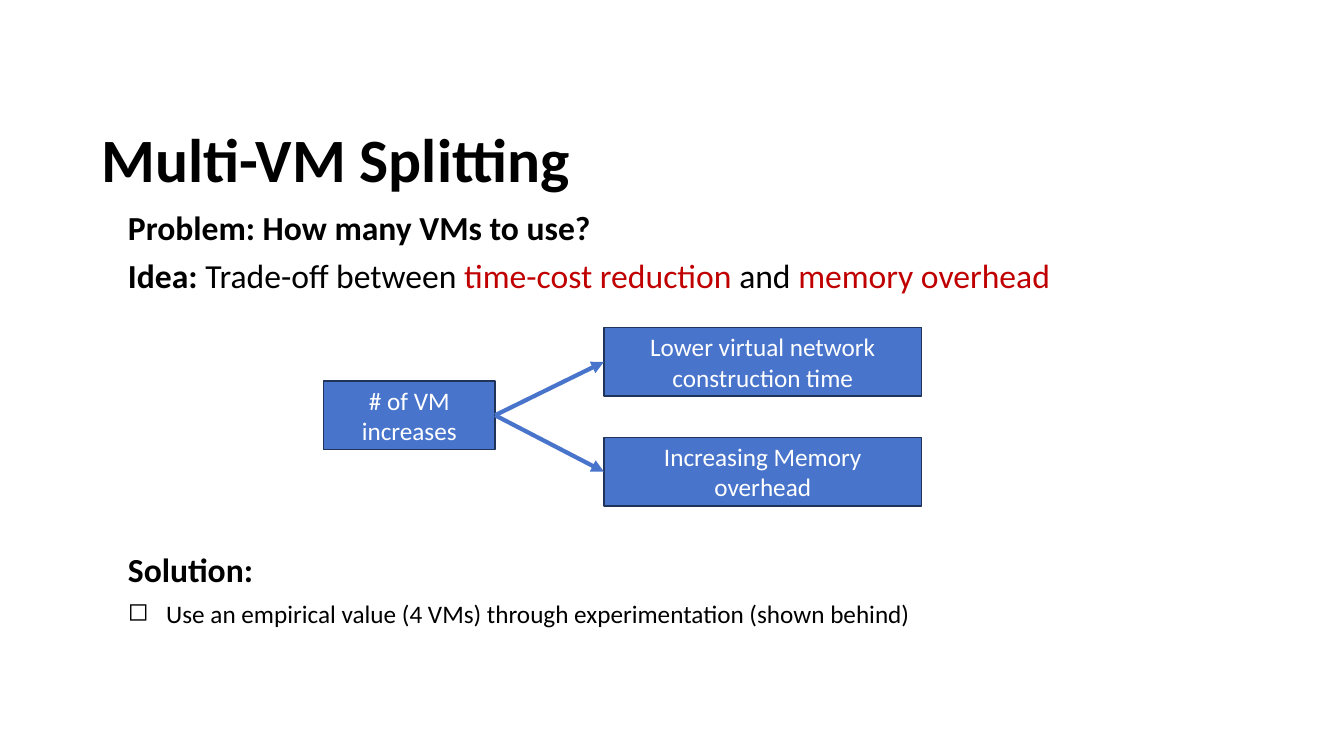
from lxml import etree
from pptx import Presentation
from pptx.dml.color import RGBColor
from pptx.enum.shapes import MSO_CONNECTOR as Connector, MSO_SHAPE as Shape
from pptx.enum.text import MSO_ANCHOR as Anchor, PP_ALIGN as Align
from pptx.oxml.ns import qn
from pptx.util import Inches, Pt

BLACK = RGBColor(0x00, 0x00, 0x00)
WHITE = RGBColor(0xFF, 0xFF, 0xFF)
RED = RGBColor(0xC0, 0x00, 0x00)
BLUE = RGBColor(0x48, 0x74, 0xCB)
NAVY = RGBColor(0x20, 0x33, 0x59)
FONT = "Calibri"
LEFT_SITE, RIGHT_SITE = 1, 3


def add_span(para, text, size=24, color=BLACK, bold=False):
    span = para.add_run()
    span.text = text
    font = span.font
    font.name, font.size, font.bold = FONT, Pt(size), bold
    font.color.rgb = color


def add_text_box(page, left, top, width, height, anchor=Anchor.TOP):
    box = page.shapes.add_textbox(Inches(left), Inches(top), Inches(width), Inches(height))
    frame = box.text_frame
    frame.word_wrap = True
    frame.vertical_anchor = anchor
    return frame


def add_bullet(para, symbol, indent):
    """Give the paragraph a hanging bullet."""
    props = para._p.get_or_add_pPr()
    props.set("marL", str(Inches(indent)))
    props.set("indent", str(-Inches(indent)))
    etree.SubElement(props, qn("a:buChar")).set("char", symbol)


def add_flow_box(page, text, left, top, width, height=0.68):
    box = page.shapes.add_shape(
        Shape.RECTANGLE, Inches(left), Inches(top), Inches(width), Inches(height))
    box.shadow.inherit = False
    box.fill.solid()
    box.fill.fore_color.rgb = BLUE
    box.line.color.rgb = NAVY
    box.line.width = Pt(1)
    frame = box.text_frame
    frame.word_wrap = True
    frame.vertical_anchor = Anchor.MIDDLE
    para = frame.paragraphs[0]
    para.alignment = Align.CENTER
    add_span(para, text, size=18, color=WHITE)
    return box


def add_arrow(page, source, target):
    """Join the right side of source to the left side of target."""
    arrow = page.shapes.add_connector(Connector.STRAIGHT, 0, 0, 0, 0)
    arrow.begin_connect(source, RIGHT_SITE)
    arrow.end_connect(target, LEFT_SITE)
    arrow.line.color.rgb = BLUE
    arrow.line.width = Pt(3)
    etree.SubElement(arrow.line._get_or_add_ln(), qn("a:tailEnd")).set("type", "triangle")
    etree.SubElement(arrow._element.spPr, qn("a:effectLst"))


def add_title(page):
    para = add_text_box(page, 0.91, 1.2, 5.75, 0.83, anchor=Anchor.MIDDLE).paragraphs[0]
    para.line_spacing = 0.9
    add_span(para, "Multi-VM Splitting", size=44, bold=True)


def add_problem(page):
    frame = add_text_box(page, 1.17, 2, 9.75, 0.99)
    problem, idea = frame.paragraphs[0], frame.add_paragraph()
    problem.space_after = idea.space_after = Pt(6)
    add_span(problem, "Problem: How many VMs to use?", bold=True)
    add_span(idea, "Idea: ", bold=True)
    add_span(idea, "Trade-off between ")
    add_span(idea, "time-cost reduction", color=RED)
    add_span(idea, " and ")
    add_span(idea, "memory overhead", color=RED)


def add_trade_off(page):
    cause = add_flow_box(page, "# of VM increases", 3.21, 3.78, 1.7)
    effects = ["Lower virtual network construction time", "Increasing Memory overhead"]
    for row, text in enumerate(effects):
        effect = add_flow_box(page, text, 5.99, 3.25 + row * 1.09, 3.15)
        add_arrow(page, cause, effect)


def add_solution(page):
    frame = add_text_box(page, 1.17, 5.4, 8.38, 0.89)
    heading, point = frame.paragraphs[0], frame.add_paragraph()
    heading.space_after = point.space_after = Pt(6)
    add_span(heading, "Solution:", bold=True)
    add_bullet(point, "◻", 0.38)
    add_span(point, "Use an empirical value (4 VMs) through experimentation (shown behind)", size=18)


def main():
    deck = Presentation()
    deck.slide_width, deck.slide_height = Inches(13.33), Inches(7.5)
    page = deck.slides.add_slide(deck.slide_layouts[6])
    add_title(page)
    add_problem(page)
    add_trade_off(page)
    add_solution(page)
    deck.save("out.pptx")


if __name__ == "__main__":
    main()
